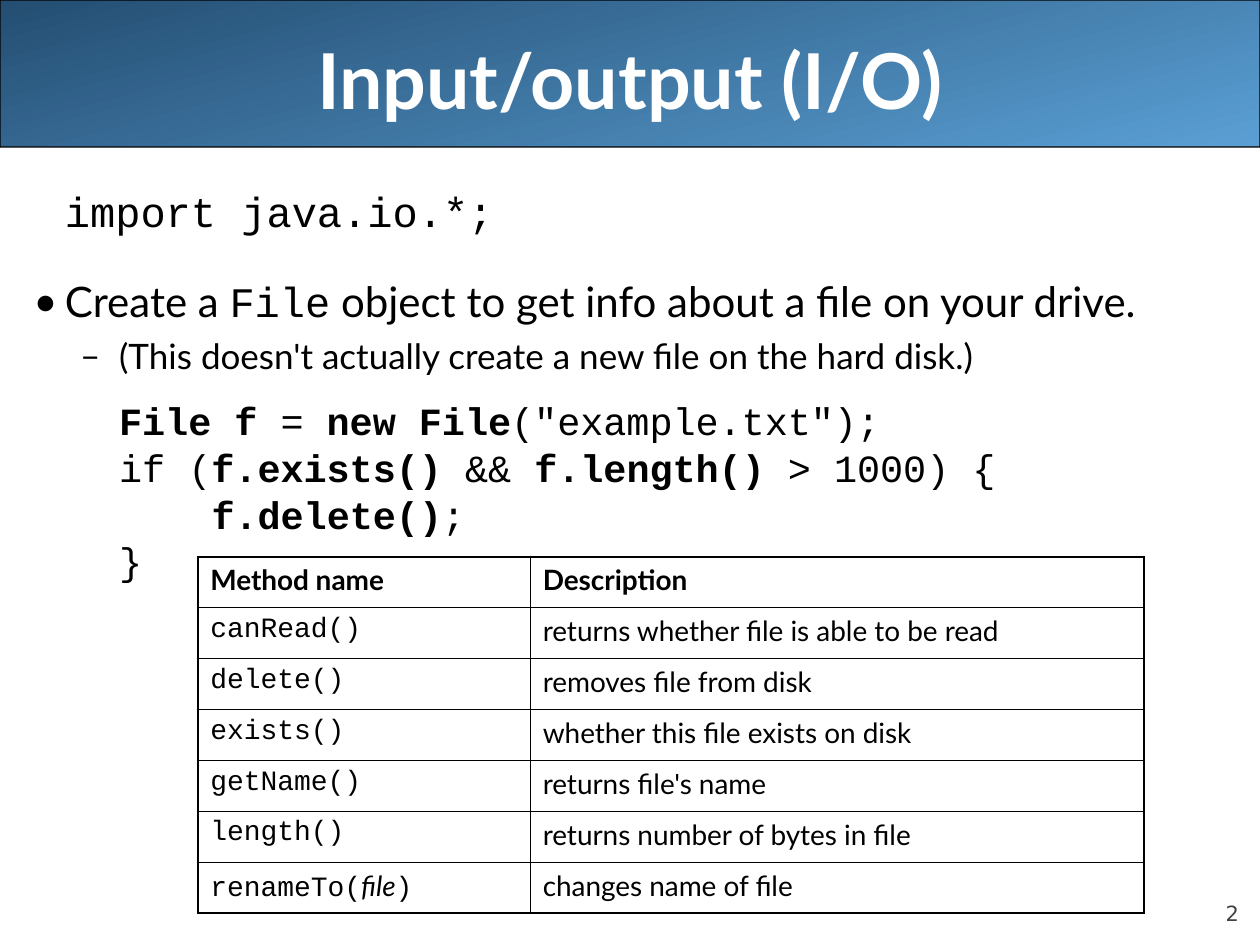
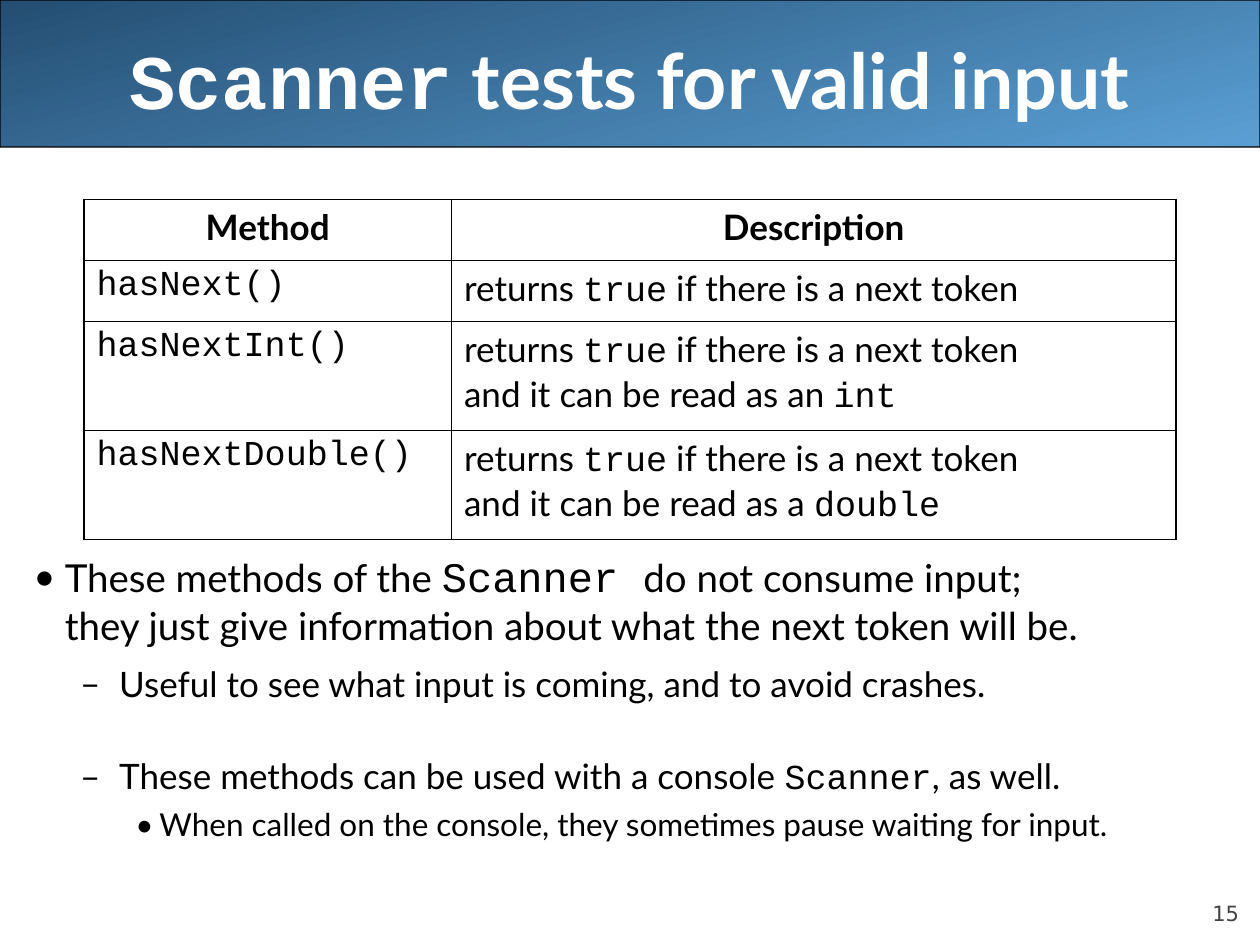
import pptx
import pptx.util
import pptx.dml.color
import pptx.enum.shapes
import pptx.enum.text
import pptx.oxml.ns
from lxml import etree

Pt = pptx.util.Pt
ALIGN = pptx.enum.text.PP_ALIGN
ANCHOR = pptx.enum.text.MSO_ANCHOR

# Content. Marks in text: `code`, |bold|, ~italic~
# Body lines: (style, text, size, line height, space before)
SLIDES = [
    dict(
        title="Input/output (I/O)", page="2", top=106.5,
        body=[
            ("intro", "`import java.io.*;`", 24, 24.5, 0),
            ("point", "Create a `File` object to get info about a file on your drive.",
             24, 31.7, 19.8),
            ("sub", "(This doesn't actually create a new file on the hard disk.)",
             20, 24, 5),
            ("code", '`|File f| = |new File|("example.txt");`', 22, 20, 18.3),
            ("code", "`if (|f.exists()| && |f.length()| > 1000) {`", 22, 20, 6.7),
            ("inner", "`|f.delete()|;`", 22, 20, 6.7),
            ("code", "`}`", 22, 20, 6.7),
        ],
        table=dict(
            left=113, top=318.2, cols=[190, 350.6], rows=[29.1] * 7,
            size=16, head=ALIGN.LEFT, fill="white",
            cells=[
                ("Method name", "Description"),
                ("`canRead()`", "returns whether file is able to be read"),
                ("`delete()`", "removes file from disk"),
                ("`exists()`", "whether this file exists on disk"),
                ("`getName()`", "returns file's name"),
                ("`length()`", "returns number of bytes in file"),
                ("`renameTo(`~file~`)`", "changes name of file"),
            ]),
    ),
    dict(
        title="`Scanner` tests for valid input", page="15", top=312.4,
        body=[
            ("point", "These methods of the `^Scanner ^`do not consume input;\n"
             "they just give information about what the next token will be.",
             22, 27.2, 0),
            ("sub", "Useful to see what input is coming, and to avoid crashes.",
             20, 24, 7.9),
            ("sub", "These methods can be used with a console `Scanner`, as well.",
             20, 24, 28.8),
            ("deep", "When called on the console, they sometimes pause waiting "
             "for input.", 18, 22, 4.7),
        ],
        table=dict(
            left=48, top=114, cols=[210, 414], rows=[34.8, 34.8, 62.4, 62.4],
            size=20, head=ALIGN.CENTER, fill=None,
            cells=[
                ("Method", "Description"),
                ("`hasNext()`", "returns `true` if there is a next token"),
                ("`hasNextInt()`", "returns `true` if there is a next token\n"
                 "and it can be read as an `int`"),
                ("`hasNextDouble()`", "returns `true` if there is a next token\n"
                 "and it can be read as a `double`"),
            ]),
    ),
]

# Shared look
HUES = dict(dark="244E72", light="5A9FD4", white="FFFFFF", black="000000",
            gray="424242")
FONT, CODE, PLAIN = "Lato", "Courier New", "DejaVu Sans"
WIDE, HIGH = 720, 540
THIN, THICK = 0.45, 1.08
MARKS = "`|~^"  # code, bold, italic, two points larger

# Body styles: level, left margin, first-line indent, bullet
STYLES = dict(
    intro=(0, 18, 0, None),
    point=(0, 18, -18, "•"),
    sub=(1, 49, -22.3, "–"),
    deep=(2, 72, -13.7, "•"),
    code=(1, 49, 0, None),
    inner=(1, 101.8, 0, None),
)


def hue(name):
    return pptx.dml.color.RGBColor.from_string(HUES[name])


def child(node, tag, **attrs):
    return etree.SubElement(node, pptx.oxml.ns.qn("a:" + tag), attrs)


def split(text):
    """Yield each piece of marked text with its set of active marks."""
    live, piece = set(), ""
    for char in text:
        if char in MARKS:
            if piece:
                yield piece, frozenset(live)
            live ^= {char}
            piece = ""
        else:
            piece += char
    if piece:
        yield piece, frozenset(live)


def put(para, text, size=20, color="black", font=FONT, bold=False,
        align=ALIGN.LEFT, high=None, gap=0, style=None):
    """Write marked text into a paragraph."""
    para.alignment = align
    para.space_before = Pt(gap)
    if high:
        para.line_spacing = Pt(high)
    for piece, live in split(text):
        for i, line in enumerate(piece.split("\n")):
            if i:
                para.add_line_break()
            run = para.add_run()
            run.text = line
            run.font.name = CODE if "`" in live else font
            run.font.size = Pt(size + 2 * ("^" in live))
            run.font.bold = bold or "|" in live
            run.font.italic = "~" in live
            run.font.color.rgb = hue(color)
    if style:
        level, left, first, mark = STYLES[style]
        para.level = level
        props = para._p.get_or_add_pPr()
        props.set("marL", str(Pt(left)))
        props.set("indent", str(Pt(first)))
        if mark:
            child(child(props, "buClr"), "srgbClr", val=HUES["black"])
            child(props, "buFont", typeface=FONT)
            child(props, "buChar", char=mark)
        else:
            child(props, "buNone")


def frame(slide, left, top, wide, high, anchor=ANCHOR.TOP):
    box = slide.shapes.add_textbox(Pt(left), Pt(top), Pt(wide), Pt(high))
    text = box.text_frame
    text.word_wrap = True
    text.vertical_anchor = anchor
    return text


def band(slide):
    bar = slide.shapes.add_shape(
        pptx.enum.shapes.MSO_SHAPE.ROUNDED_RECTANGLE, 0, 0, Pt(WIDE), Pt(84))
    bar.adjustments[0] = 0.001
    bar.shadow.inherit = False
    bar.fill.gradient()
    bar.fill.gradient_angle = 285
    for stop, name in zip(bar.fill.gradient_stops, ("dark", "light")):
        stop.color.rgb = hue(name)
    bar.line.color.rgb = hue("black")
    bar.line.width = Pt(0.75)


def number(slide, page):
    text = frame(slide, 648, 500.4, 60, 28.8, ANCHOR.BOTTOM)
    text.margin_left = text.margin_right = 0
    text.margin_top = text.margin_bottom = 0
    put(text.paragraphs[0], page, size=12, color="gray", font=PLAIN,
        align=ALIGN.RIGHT)


def body(slide, top, lines):
    text = frame(slide, 12, top, 708, 510 - top)
    for i, (style, words, size, high, gap) in enumerate(lines):
        para = text.add_paragraph() if i else text.paragraphs[0]
        put(para, words, size=size, high=high, gap=gap, style=style)


def border(cell, edges):
    """Draw the cell's sides; outer edges of the table are thick."""
    props = cell._tc.get_or_add_tcPr()
    for i, (side, outer) in enumerate(edges):
        line = etree.Element(pptx.oxml.ns.qn("a:ln" + side),
                             w=str(Pt(THICK if outer else THIN)))
        child(child(line, "solidFill"), "srgbClr", val=HUES["black"])
        props.insert(i, line)


def grid(slide, left, top, cols, rows, size, head, fill, cells):
    table = slide.shapes.add_table(
        len(rows), len(cols), Pt(left), Pt(top),
        Pt(sum(cols)), Pt(sum(rows))).table
    table.first_row = table.horz_banding = False
    for col, wide in zip(table.columns, cols):
        col.width = Pt(wide)
    for row, high in zip(table.rows, rows):
        row.height = Pt(high)
    for r, line in enumerate(cells):
        for c, words in enumerate(line):
            cell = table.cell(r, c)
            put(cell.text_frame.paragraphs[0], words, size=size, bold=r == 0,
                align=ALIGN.LEFT if r else head)
            if fill:
                cell.fill.solid()
                cell.fill.fore_color.rgb = hue(fill)
            else:
                cell.fill.background()
            border(cell, [("L", c == 0), ("R", c == len(cols) - 1),
                          ("T", r == 0), ("B", r == len(rows) - 1)])


def main():
    deck = pptx.Presentation()
    deck.slide_width, deck.slide_height = Pt(WIDE), Pt(HIGH)
    for item in SLIDES:
        slide = deck.slides.add_slide(deck.slide_layouts[6])
        band(slide)
        number(slide, item["page"])
        title = frame(slide, 36, 0, 648, 90, ANCHOR.MIDDLE)
        put(title.paragraphs[0], item["title"], size=44, color="white",
            bold=True, align=ALIGN.CENTER)
        body(slide, item["top"], item["body"])
        grid(slide, **item["table"])
    deck.save("out.pptx")


if __name__ == "__main__":
    main()
